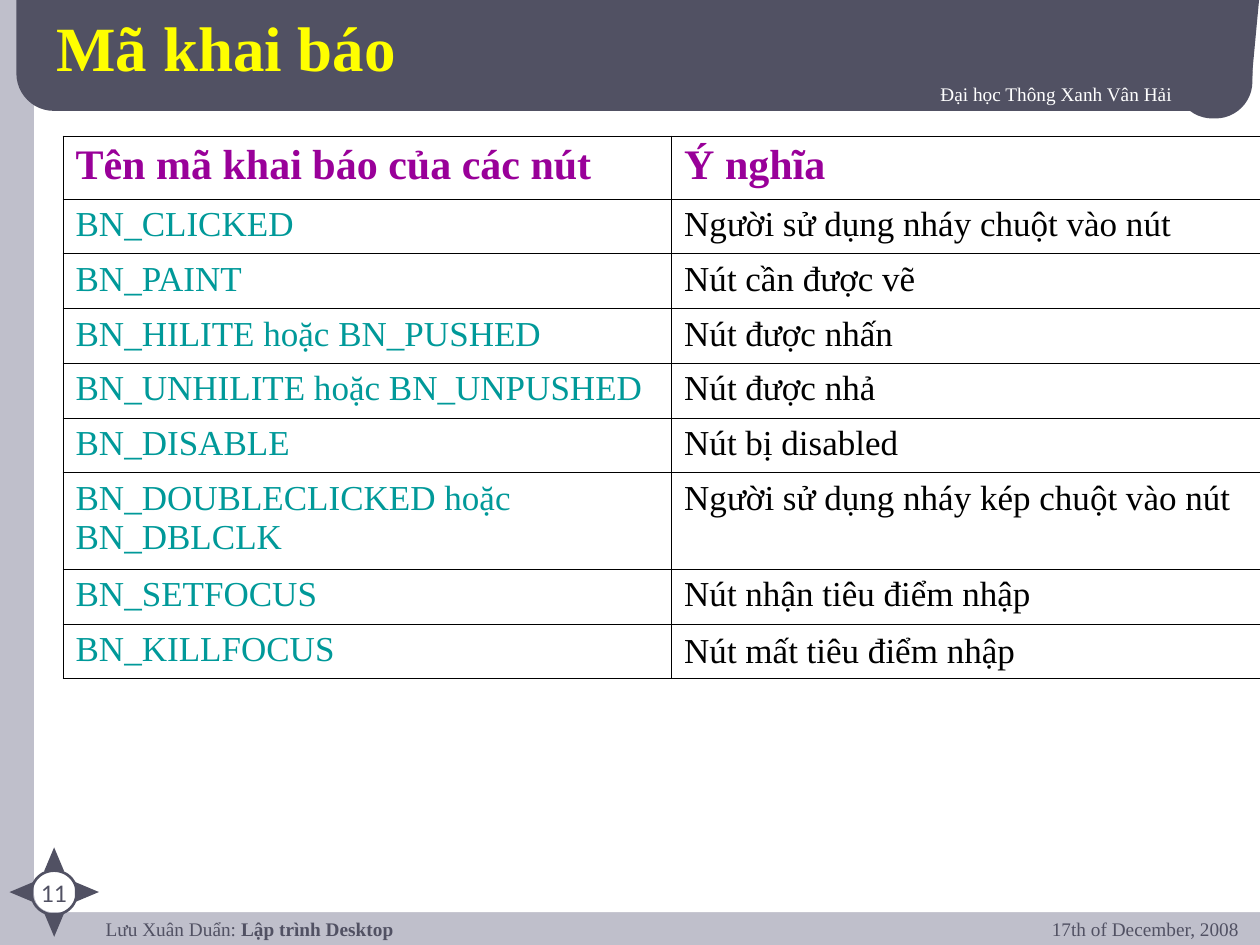
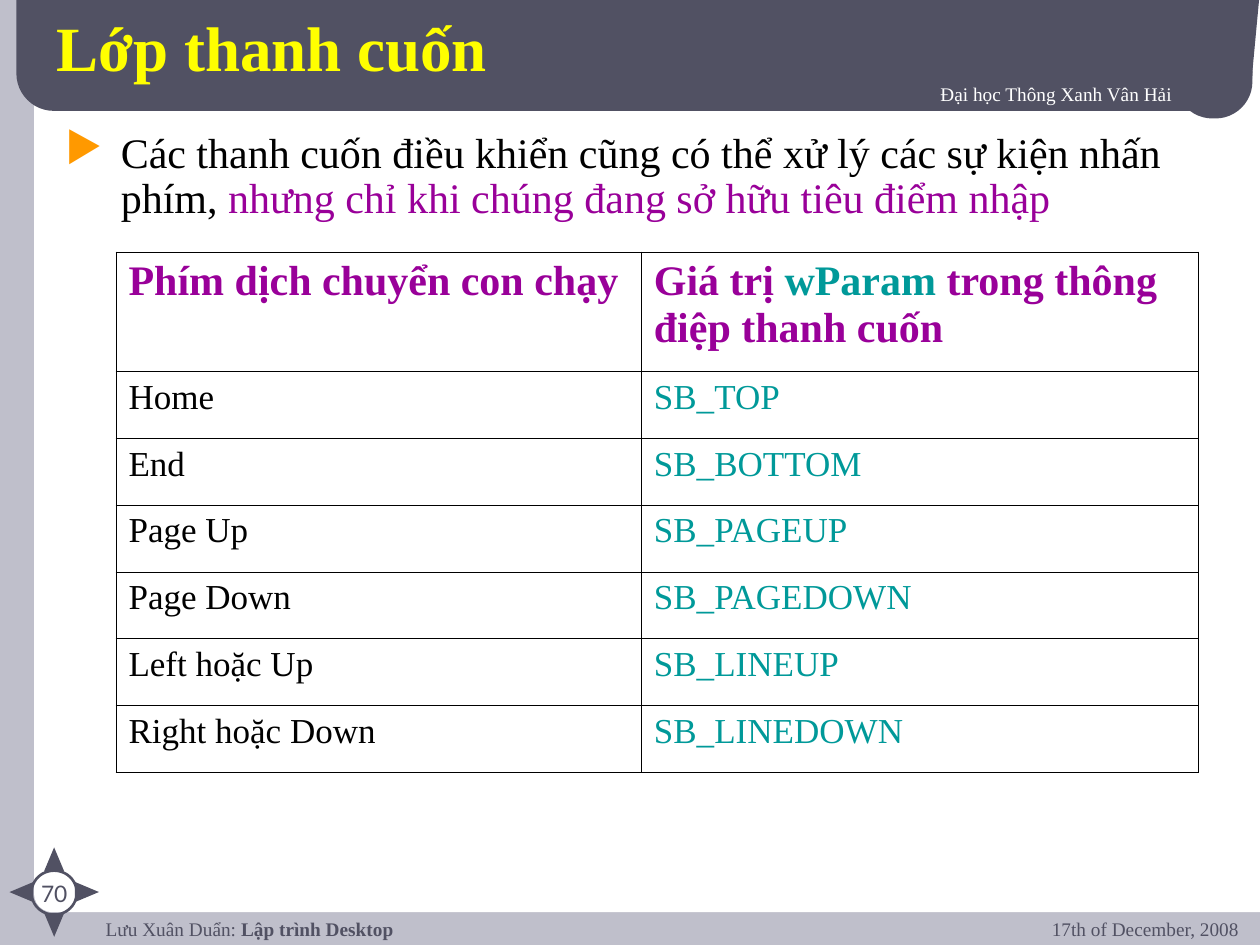
from lxml import etree
from pptx import Presentation
from pptx.dml.color import RGBColor
from pptx.enum.shapes import MSO_SHAPE as Preset
from pptx.enum.text import MSO_ANCHOR as Anchor, PP_ALIGN as Align
from pptx.oxml.ns import qn
from pptx.util import Inches, Pt

# Colours and fonts
LAVENDER = RGBColor(0xBF, 0xBF, 0xCB)
SLATE = RGBColor(0x51, 0x51, 0x63)
WHITE = RGBColor(0xFF, 0xFF, 0xFF)
BLACK = RGBColor(0x00, 0x00, 0x00)
YELLOW = RGBColor(0xFF, 0xFF, 0x00)
PURPLE = RGBColor(0x99, 0x00, 0x99)
TEAL = RGBColor(0x00, 0x99, 0x99)
ORANGE = RGBColor(0xFF, 0x99, 0x00)
SERIF = "Times New Roman"
SANS = "Lato"

# Shared wording
SCHOOL = "Đại học Thông Xanh Vân Hải"
AUTHOR = "Lưu Xuân Duẩn: "
COURSE = "Lập trình Desktop"
DATE = "17th of December, 2008"

# Table contents
BUTTON_CODES = [
    ("BN_CLICKED", "Người sử dụng nháy chuột vào nút"),
    ("BN_PAINT", "Nút cần được vẽ"),
    ("BN_HILITE hoặc BN_PUSHED", "Nút được nhấn"),
    ("BN_UNHILITE hoặc BN_UNPUSHED", "Nút được nhả"),
    ("BN_DISABLE", "Nút bị disabled"),
    ("BN_DOUBLECLICKED hoặc BN_DBLCLK", "Người sử dụng nháy kép chuột vào nút"),
    ("BN_SETFOCUS", "Nút nhận tiêu điểm nhập"),
    ("BN_KILLFOCUS", "Nút mất tiêu điểm nhập"),
]
SCROLL_KEYS = [
    ("Home", "SB_TOP"),
    ("End", "SB_BOTTOM"),
    ("Page Up", "SB_PAGEUP"),
    ("Page Down", "SB_PAGEDOWN"),
    ("Left hoặc Up", "SB_LINEUP"),
    ("Right hoặc Down", "SB_LINEDOWN"),
]


def write_runs(paragraph, runs, size, bold=False, font=SERIF):
    """Fill a paragraph with (text, colour) runs."""
    for text, colour in runs:
        run = paragraph.add_run()
        run.text = text
        run.font.name = font
        run.font.size = Pt(size)
        run.font.bold = bold
        run.font.color.rgb = colour


def add_text(slide, box, runs, size, bold=False, font=SERIF,
             align=Align.LEFT, anchor=Anchor.TOP):
    text_box = slide.shapes.add_textbox(*map(Inches, box))
    frame = text_box.text_frame
    frame.word_wrap = True
    frame.vertical_anchor = anchor
    paragraph = frame.paragraphs[0]
    paragraph.alignment = align
    write_runs(paragraph, runs, size, bold, font)
    return text_box


def add_text_shadow(text_box):
    for run in text_box.text_frame.paragraphs[0].runs:
        effects = etree.Element(qn("a:effectLst"))
        shadow = etree.SubElement(effects, qn("a:outerShdw"),
                                  dist="25400", dir="2700000")
        etree.SubElement(shadow, qn("a:srgbClr"), val=str(BLACK))
        run.font._element.find(qn("a:solidFill")).addnext(effects)


def add_solid(slide, preset, box, colour, corner=None, rotation=0):
    shape = slide.shapes.add_shape(preset, *map(Inches, box))
    shape.shadow.inherit = False
    shape.fill.solid()
    shape.fill.fore_color.rgb = colour
    shape.line.fill.background()
    shape.rotation = rotation
    if corner is not None:
        shape.adjustments[0] = corner
    return shape


def add_compass(slide, number):
    """Page number in a ring with four points."""
    add_text(slide, (0.14, 6.93, 0.58, 0.22), [(str(number), SLATE)], 13,
             font=SANS, align=Align.CENTER)
    ring = add_solid(slide, Preset.OVAL, (0.25, 6.91, 0.36, 0.35), WHITE)
    ring.fill.background()
    ring.line.color.rgb = SLATE
    ring.line.width = Pt(1.5)
    width, height, reach = 0.16, 0.19, 0.26
    for step_x, step_y, rotation in [(0, -1, 0), (1, 0, 90), (0, 1, 180), (-1, 0, 270)]:
        left = 0.43 + step_x * reach - width / 2
        top = 7.08 + step_y * reach - height / 2
        add_solid(slide, Preset.ISOSCELES_TRIANGLE, (left, top, width, height),
                  SLATE, rotation=rotation)


def add_base_slide(presentation, title, number):
    slide = presentation.slides.add_slide(presentation.slide_layouts[6])
    slide.background.fill.solid()
    slide.background.fill.fore_color.rgb = LAVENDER

    # White page and dark title band
    rounded = Preset.ROUNDED_RECTANGLE
    add_solid(slide, rounded, (0.27, -0.13, 10.01, 7.37), WHITE, corner=0.02)
    add_solid(slide, rounded, (0.13, -0.36, 9.81, 1.24), SLATE, corner=0.24)
    add_solid(slide, rounded, (9.33, 0.29, 0.61, 0.65), SLATE, corner=0.48)
    add_solid(slide, Preset.RIGHT_TRIANGLE, (9.59, 0.26, 0.75, 0.07), SLATE, rotation=90)

    # Footer
    footer = add_text(slide, (0.74, 7.28, 7.74, 0.33),
                      [(AUTHOR, SLATE), (COURSE, SLATE)], 11)
    footer.text_frame.margin_top = footer.text_frame.margin_bottom = 0
    footer.text_frame.paragraphs[0].runs[1].font.bold = True
    add_compass(slide, number)
    add_text(slide, (7.52, 7.23, 2.41, 0.42), [(DATE, SLATE)], 11, align=Align.RIGHT)

    # Header
    add_text_shadow(add_text(slide, (3.03, 0.6, 6.37, 0.38), [(SCHOOL, WHITE)], 11,
                             align=Align.RIGHT))
    add_text_shadow(add_text(slide, (0.35, 0.08, 8.36, 0.57), [(title, YELLOW)], 36,
                             bold=True, anchor=Anchor.MIDDLE))
    return slide


def add_bullet(slide, box, runs):
    text_box = add_text(slide, box, runs, 24)
    paragraph = text_box.text_frame.paragraphs[0]
    paragraph.line_spacing = 0.9
    paragraph.space_before = Pt(15)
    properties = paragraph._p.get_or_add_pPr()
    properties.set("marL", str(Inches(0.44)))
    properties.set("indent", str(-Inches(0.44)))
    colour = etree.SubElement(properties, qn("a:buClr"))
    etree.SubElement(colour, qn("a:srgbClr"), val=str(ORANGE))
    etree.SubElement(properties, qn("a:buChar"), char="▶")


def style_cell(cell):
    """Thin black borders and no fill."""
    properties = cell._tc.get_or_add_tcPr()
    for side in ("lnL", "lnR", "lnT", "lnB"):
        border = etree.SubElement(properties, qn(f"a:{side}"), w=str(Pt(0.45)))
        fill = etree.SubElement(border, qn("a:solidFill"))
        etree.SubElement(fill, qn("a:srgbClr"), val=str(BLACK))
    cell.fill.background()
    cell.margin_left = cell.margin_right = Inches(0.1)
    cell.margin_top = cell.margin_bottom = Inches(0.05)


def add_grid(slide, left, top, widths, heights, headings, rows, colours):
    """Table with bold headings; colours holds one colour per body column."""
    graphic = slide.shapes.add_table(len(heights), len(widths), Inches(left), Inches(top),
                                     Inches(sum(widths)), Inches(sum(heights)))
    table = graphic.table
    table.first_row = table.horz_banding = False
    for column, width in zip(table.columns, widths):
        column.width = Inches(width)
    for row, height in zip(table.rows, heights):
        row.height = Inches(height)
    body = [[[(text, colour)] for text, colour in zip(row, colours)] for row in rows]
    for row_index, row in enumerate([headings] + body):
        is_heading = row_index == 0
        for column_index, runs in enumerate(row):
            cell = table.cell(row_index, column_index)
            style_cell(cell)
            write_runs(cell.text_frame.paragraphs[0], runs,
                       24 if is_heading else 20, bold=is_heading)
    return table


def add_button_slide(presentation):
    slide = add_base_slide(presentation, "Mã khai báo", 11)
    heading_height, double_height = 0.5, 0.76
    single_height = (4.3 - heading_height - double_height) / 7
    heights = [heading_height] + [single_height] * 5 + [double_height] + [single_height] * 2
    headings = [[("Tên mã khai báo của các nút", PURPLE)], [("Ý nghĩa", PURPLE)]]
    table = add_grid(slide, 0.5, 1.08, [4.83, 4.67], heights, headings,
                     BUTTON_CODES, (TEAL, BLACK))
    table.cell(len(BUTTON_CODES), 1).vertical_anchor = Anchor.MIDDLE


def add_scroll_slide(presentation):
    slide = add_base_slide(presentation, "Lớp thanh cuốn", 70)
    add_bullet(slide, (0.42, 1, 9.25, 0.82), [
        ("Các thanh cuốn điều khiển cũng có thể xử lý các sự kiện nhấn phím, ", BLACK),
        ("nhưng chỉ khi chúng đang sở hữu tiêu điểm nhập", PURPLE),
    ])
    headings = [
        [("Phím dịch chuyển con chạy", PURPLE)],
        [("Giá trị ", PURPLE), ("wParam", TEAL), (" trong thông điệp thanh cuốn", PURPLE)],
    ]
    add_grid(slide, 0.92, 2, [4.17, 4.42], [0.95] + [0.53] * len(SCROLL_KEYS), headings,
             SCROLL_KEYS, (BLACK, TEAL))


def main():
    presentation = Presentation()
    presentation.slide_width = Inches(10)
    presentation.slide_height = Inches(7.5)
    add_button_slide(presentation)
    add_scroll_slide(presentation)
    presentation.save("out.pptx")


if __name__ == "__main__":
    main()
